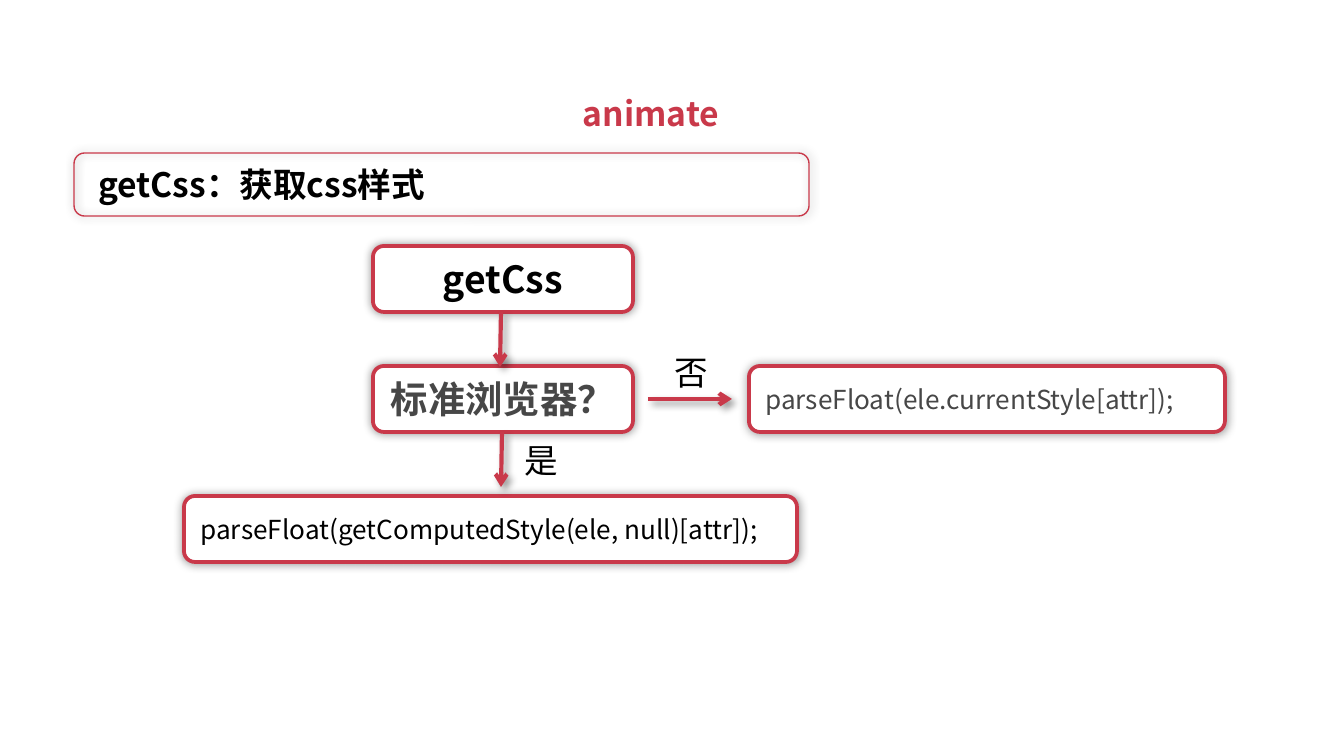
import pptx
import pptx.util
import pptx.dml.color
import pptx.enum.text
import pptx.enum.shapes
import pptx.oxml
import pptx.oxml.ns

SCALE = 914400 / 134.4
FONT, PLAIN = "Noto Sans CJK SC", "Calibri"
RED, BLACK, GREY, WHITE = "C9394A", "000000", "474747", "FFFFFF"
LEFT, MID = pptx.enum.text.PP_ALIGN.LEFT, pptx.enum.text.PP_ALIGN.CENTER
KIND = pptx.enum.shapes.MSO_SHAPE
NS = pptx.oxml.ns.nsdecls("a")

# Lengths in pixels: left, top, width, height
TITLE = ("animate", (569, 86, 164, 54))
HEAD = ("getCss：获取css样式", (85, 157, 1099, 54))
FRAME = (74, 153, 735, 63)
ROW = 66
STEPS = [  # text, left, top, width, size, colour, bold, align
    ("getCss", 373, 246, 260, 20, BLACK, True, MID),
    ("标准浏览器？", 373, 366, 260, 20, GREY, True, MID),
    ("parseFloat(getComputedStyle(ele, null)[attr]);", 184, 496, 613, 14, BLACK, False, LEFT),
    ("parseFloat(ele.currentStyle[attr]);", 749, 366, 476, 14, GREY, False, LEFT),
]
ARROWS = [(501, 312, 500, 367), (502, 432, 501, 487), (648, 399, 732, 399)]
LABELS = [("是", (511, 433, 56, 54)), ("否", (661, 345, 56, 54))]


def px(*vals):
    """Turn pixels into EMU."""
    return [pptx.util.Emu(round(v * SCALE)) for v in vals]


def rgb(code):
    """Turn a hex string into a colour."""
    return pptx.dml.color.RGBColor.from_string(code)


def write(shape, text, size, color, bold=False, align=LEFT, font=FONT):
    """Put one formatted line of text in a shape."""
    shape.text_frame.text = text
    para = shape.text_frame.paragraphs[0]
    para.alignment = align
    run = para.runs[0]
    run.font.size = pptx.util.Pt(size)
    run.font.bold = bold
    run.font.name = font
    run.font.color.rgb = rgb(color)
    if font == FONT:
        east = pptx.oxml.parse_xml(f'<a:ea {NS} typeface="{font}"/>')
        run.font._element.find(pptx.oxml.ns.qn("a:latin")).addnext(east)


def fit(shape, wrap=True):
    """Let a text shape grow with its text from the top."""
    frame = shape.text_frame
    frame.word_wrap = wrap
    frame.auto_size = pptx.enum.text.MSO_AUTO_SIZE.SHAPE_TO_FIT_TEXT
    frame.vertical_anchor = pptx.enum.text.MSO_ANCHOR.TOP


def shade(shape, blur, dist=0, angle=0):
    """Give a shape a soft black shadow; lengths in points."""
    pt = pptx.util.Pt
    shape._element.spPr.append(pptx.oxml.parse_xml(
        f'<a:effectLst {NS}><a:outerShdw blurRad="{pt(blur)}" dist="{pt(dist)}" '
        f'dir="{angle * 60000}" algn="ctr" rotWithShape="0"><a:srgbClr val="{BLACK}">'
        '<a:alpha val="40000"/></a:srgbClr></a:outerShdw></a:effectLst>'))


def box(kind, place, width, fill=None):
    """Draw a red outlined box with a shadow."""
    shape = slide.shapes.add_shape(kind, *px(*place))
    if fill:
        shape.fill.solid()
        shape.fill.fore_color.rgb = rgb(fill)
    else:
        shape.fill.background()
    shape.line.color.rgb = rgb(RED)
    shape.line.width = pptx.util.Pt(width)
    shade(shape, 5)
    return shape


def label(text, place, **look):
    """Add a text box at 18 points."""
    shape = slide.shapes.add_textbox(*px(*place))
    write(shape, text, 18, BLACK, **look)
    fit(shape)


def arrow(ends):
    """Draw a red arrow with a shadow."""
    line = slide.shapes.add_connector(pptx.enum.shapes.MSO_CONNECTOR.STRAIGHT, *px(*ends))
    line.line.color.rgb = rgb(RED)
    line.line.width = pptx.util.Pt(2.25)
    line.line._get_or_add_ln().append(pptx.oxml.parse_xml(f'<a:tailEnd {NS} type="arrow"/>'))
    shade(line, 4, 3, 45)


deck = pptx.Presentation()
deck.slide_width, deck.slide_height = px(1344, 756)
slide = deck.slides.add_slide(deck.slide_layouts[5])

title = slide.shapes.title
title.left, title.top, title.width, title.height = px(*TITLE[1])
write(title, TITLE[0], 18, RED, True, MID)
fit(title, False)

label(*HEAD, bold=True)
box(KIND.FLOWCHART_ALTERNATE_PROCESS, FRAME, 0.75)
for text, left, top, width, *look in STEPS:
    step = box(KIND.ROUNDED_RECTANGLE, (left, top, width, ROW), 2, WHITE)
    write(step, text, *look)
for ends in ARROWS:
    arrow(ends)
for text, place in LABELS:
    label(text, place, font=PLAIN)

deck.save("out.pptx")
